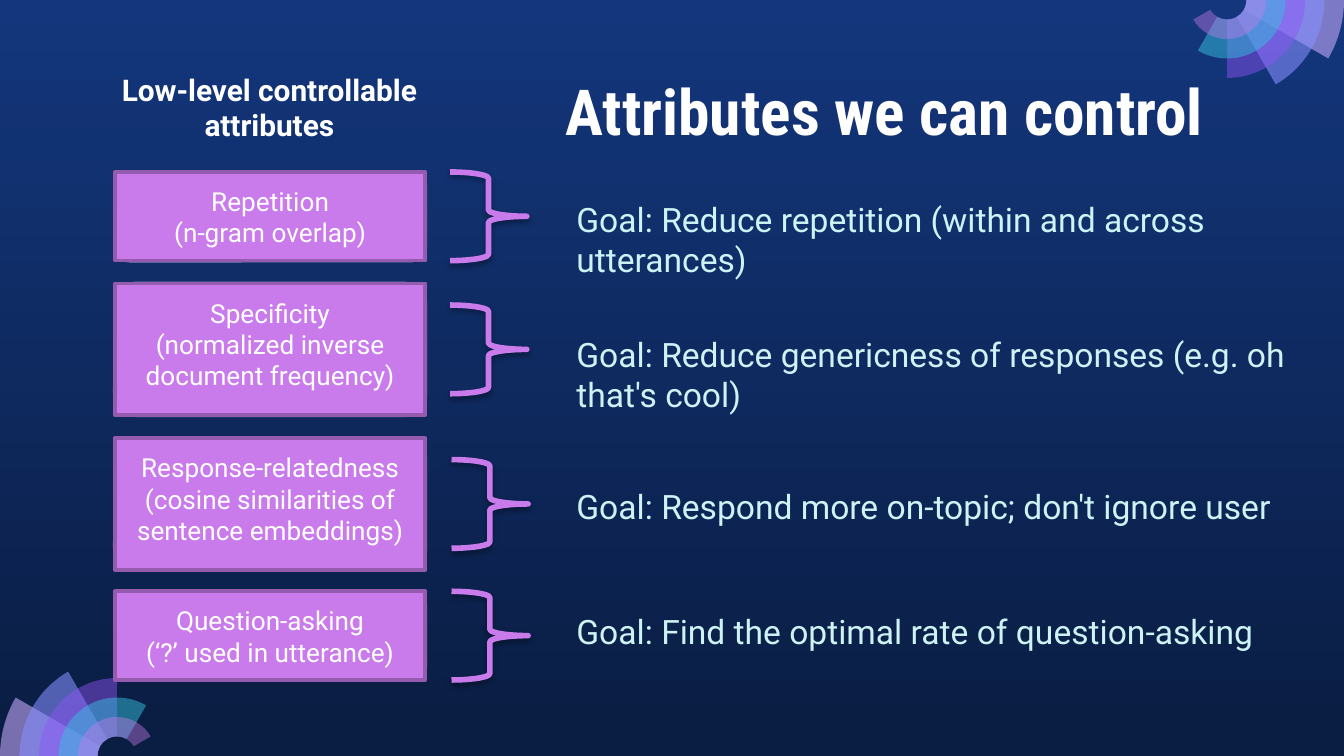
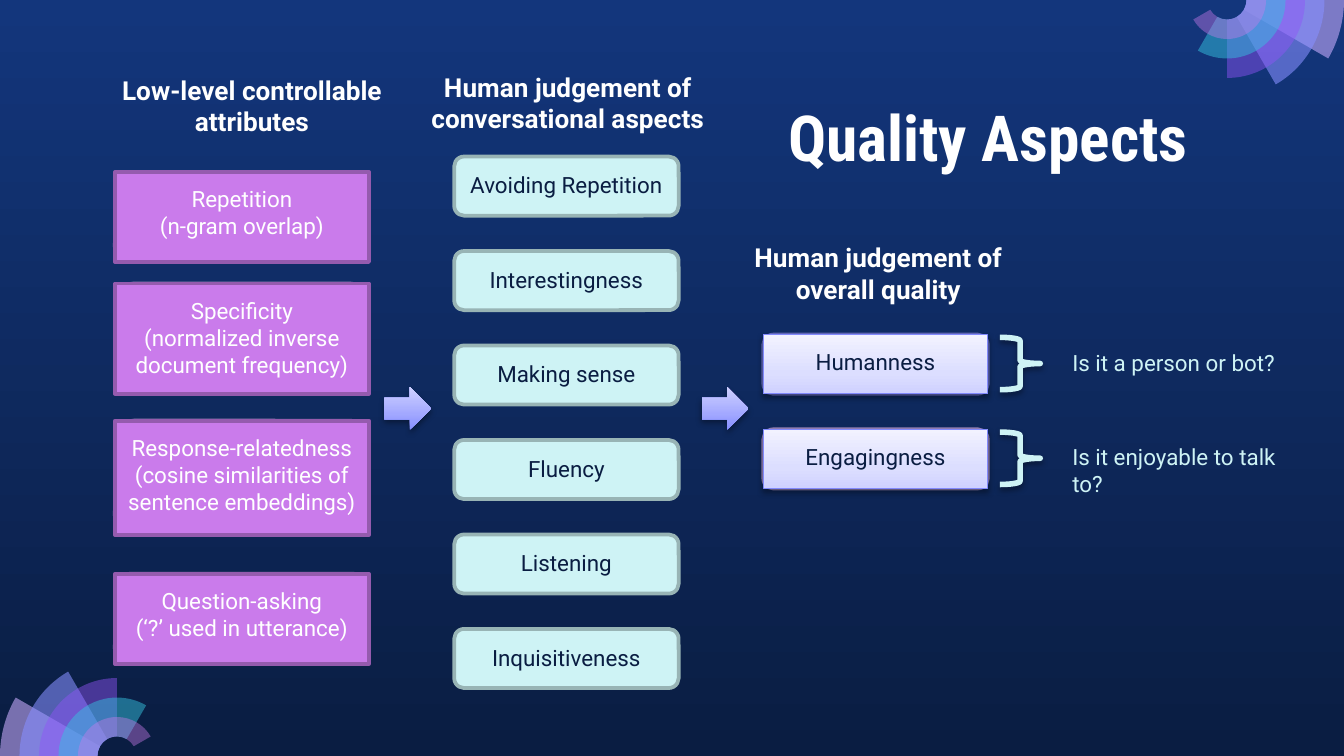
from copy import deepcopy
from math import cos, radians, sin, tan

from lxml.etree import Element, SubElement
from pptx import Presentation
from pptx.dml.color import RGBColor as Color
from pptx.enum.shapes import MSO_SHAPE as Shape
from pptx.enum.text import MSO_ANCHOR as Anchor, PP_ALIGN as Align
from pptx.oxml.ns import qn
from pptx.util import Inches, Pt

# Theme: colours, gradients (position, colour) and text formats
THEME = {
    "orchid": "CA7BEB", "orchid_edge": "955BAE",
    "mauve": "C8AEF8", "mauve_edge": "9481B7",
    "indigo": "878FFF", "indigo_edge": "646ABD",
    "ice": "CEF3F5", "ice_edge": "98B4B5", "lilac_edge": "8189FC",
    "night": [(0, "13367C"), (1, "0A1D42")],
    "arrow": [(0, "878FFF"), (1, "CFD1FF")],
    "lilac": [(0, "CFD1FF"), (0.35, "DCDEFF"), (1, "F2F2FF")],
    "fan": [("CA7BEB", 42), ("35C2DF", 49), ("9154F8", 46), ("878FFF", 58), ("C8ACFD", 58)],
    "title": ("FFFFFF", {"name": "Roboto Condensed", "size": Pt(34), "bold": True}),
    "heading": ("FFFFFF", {"name": "Roboto", "size": Pt(16), "bold": True}),
    "small_heading": ("FFFFFF", {"name": "Roboto", "size": Pt(14), "bold": True}),
    "goal": ("CEF3F5", {"name": "Roboto", "size": Pt(18)}),
    "question": ("CEF3F5", {"name": "Roboto", "size": Pt(12)}),
    "attribute": ("FFFFFF", {"name": "Roboto", "size": Pt(14)}),
    "small_attribute": ("FFFFFF", {"name": "Roboto", "size": Pt(12)}),
    "aspect": ("0A1D42", {"name": "Roboto", "size": Pt(12)}),
}


def place(page, kind, at, fill=None, line=None, width=2, shadow=False):
    """Add a preset shape; fill is a colour, a list of gradient stops or None."""
    shape = page.shapes.add_shape(kind, *map(Inches, at))
    if isinstance(fill, list):
        shape.fill.gradient()
        shape.fill.gradient_angle = 90
        stops = shape.element.find(".//" + qn("a:gsLst"))
        while len(stops) < len(fill):
            stops.append(deepcopy(stops[0]))
        for stop, (position, color) in zip(shape.fill.gradient_stops, fill):
            stop.position = position
            stop.color.rgb = Color.from_string(color)
    elif fill:
        shape.fill.solid()
        shape.fill.fore_color.rgb = Color.from_string(fill)
    else:
        shape.fill.background()
    if line:
        shape.line.color.rgb = Color.from_string(line)
        shape.line.width = Pt(width)
    else:
        shape.line.fill.background()
    shape.shadow.inherit = False
    if shadow:
        effects = shape.element.spPr.find(qn("a:effectLst"))
        outer = SubElement(effects, qn("a:outerShdw"), blurRad=str(Pt(3.1)),
                           dist=str(Pt(1.8)), dir="5400000", rotWithShape="0")
        black = SubElement(outer, qn("a:srgbClr"), val="000000")
        SubElement(black, qn("a:alpha"), val="35000")
    return shape


def write(box, lines, style, align=Align.CENTER, anchor=Anchor.TOP, side=0.1, top=0.1):
    """Fill a box with paragraphs; a line may be a (text, space before) pair."""
    color, font = THEME[style]
    frame = box.text_frame
    layout = {"word_wrap": True, "vertical_anchor": anchor, "margin_top": Inches(top),
              "margin_bottom": Inches(0.1), "margin_left": Inches(side),
              "margin_right": Inches(side)}
    for name, value in layout.items():
        setattr(frame, name, value)
    for index, line in enumerate(lines):
        text, before = line if isinstance(line, tuple) else (line, 0)
        para = frame.add_paragraph() if index else frame.paragraphs[0]
        para.alignment = align
        para.space_before = Pt(before)
        span = para.add_run()
        span.text = text
        span.font.color.rgb = Color.from_string(color)
        for name, value in font.items():
            setattr(span.font, name, value)


deck = Presentation()
deck.slide_width, deck.slide_height = Inches(10), Inches(5.625)
control_page, quality_page = [deck.slides.add_slide(deck.slide_layouts[6]) for _ in range(2)]

# Shared background on the master
master = deck.slide_master
night = master.background.fill
night.gradient()
night.gradient_angle = 270
for stop, (position, color) in zip(night.gradient_stops, THEME["night"]):
    stop.position = position
    stop.color.rgb = Color.from_string(color)

# Shared corner fans on the master: ring sectors, wider rings sweep 30 degrees less
RING = 0.145
for center_x, center_y, turn in [(0.87, 5.625, 0), (9.13, 0, 180)]:
    fan = control_page.shapes.add_group_shape()
    for ring, (color, alpha) in reversed(list(enumerate(THEME["fan"], 2))):
        end = 180 - 30 * (7 - ring)
        sweep = [end, 90, 180] if end < 90 else [end, 180]
        nodes = [(RING * ring, angle + turn) for angle in sweep]
        nodes += [(RING, angle + turn) for angle in reversed(sweep)]
        nodes.append(nodes[0])
        points = [(Inches(center_x + radius * cos(radians(angle))),
                   Inches(center_y - radius * sin(radians(angle)))) for radius, angle in nodes]
        builder = fan.shapes.build_freeform(*points[0])
        builder.add_line_segments(points[1:], close=True)
        petal = builder.convert_to_shape()

        # Turn the segments that stay on one radius into curves
        segments = petal.element.findall(".//" + qn("a:lnTo"))
        for index, segment in enumerate(segments):
            (radius, start), (next_radius, stop) = nodes[index:index + 2]
            if radius != next_radius:
                continue
            reach = Inches(radius) * 4 / 3 * tan(radians(stop - start) / 4)
            curve = Element(qn("a:cubicBezTo"))
            for (x, y), angle, pull in [(points[index], start, reach),
                                        (points[index + 1], stop, -reach),
                                        (points[index + 1], stop, 0)]:
                SubElement(curve, qn("a:pt"),
                           x=str(round(x - pull * sin(radians(angle)) - petal.left)),
                           y=str(round(y - pull * cos(radians(angle)) - petal.top)))
            segment.getparent().replace(segment, curve)

        petal.fill.solid()
        petal.fill.fore_color.rgb = Color.from_string(color)
        tint = petal.element.spPr.find(".//" + qn("a:srgbClr"))
        SubElement(tint, qn("a:alpha"), val=str(alpha * 1000))
        petal.line.fill.background()
        petal.shadow.inherit = False
    master.shapes.element.append(fan.element)

# Titles
for page, at, title in [
    (control_page, (3.93, 0.43, 5.3, 0.77), "Attributes we can control"),
    (quality_page, (5.37, 0.63, 3.96, 0.77), "Quality Aspects"),
]:
    box = page.shapes.add_textbox(*map(Inches, at))
    write(box, [title], "title", anchor=Anchor.BOTTOM)

# Goals and questions
for page, at, lines, style, top in [
    (control_page, (4.19, 1.2, 5.48, 4.09), [
        "Goal: Reduce repetition (within and across utterances)",
        ("Goal: Reduce genericness of responses (e.g. oh that's cool)", 29),
        ("Goal: Respond more on-topic; don't ignore user", 38.5),
        ("Goal: Find the optimal rate of question-asking", 45),
    ], "goal", 0.28),
    (quality_page, (7.88, 2.37, 1.78, 1.47), [
        "Is it a person or bot?",
        ("Is it enjoyable to talk to?", 36),
    ], "question", 0.23),
]:
    box = page.shapes.add_textbox(*map(Inches, at))
    write(box, lines, style, align=Align.LEFT, top=top)

# Controllable attributes on both pages, each on a rounded backing card
attributes = [
    ("Repetition", "(n-gram overlap)"),
    ("Specificity", "(normalized inverse document frequency)"),
    ("Response-relatedness", "(cosine similarities of sentence embeddings)"),
    ("Question-asking", "(‘?’ used in utterance)"),
]
for page, width, style, rows in [
    (control_page, 2.31, "attribute", [(1.28, 0.66), (2.11, 0.98), (3.26, 0.98), (4.4, 0.66)]),
    (quality_page, 1.89, "small_attribute", [(1.28, 0.67), (2.11, 0.82), (3.13, 0.85), (4.27, 0.67)]),
]:
    for lines, (top, height) in zip(attributes, rows):
        at = (0.855, top, width, height)
        place(page, Shape.ROUNDED_RECTANGLE, at, THEME["mauve"], THEME["mauve_edge"])
        box = place(page, Shape.RECTANGLE, at, THEME["orchid"], THEME["orchid_edge"])
        write(box, lines, style, side=0.08)

# Braces from attributes to goals
for left, top in [(3.35, 1.28), (3.35, 2.27), (3.36, 3.42), (3.36, 4.4)]:
    place(control_page, Shape.RIGHT_BRACE, (left, top, 0.57, 0.66),
          line=THEME["orchid"], width=3, shadow=True)

# Column headings
for page, left, top, heading, style in [
    (control_page, 0.67, 0.43, "Low-level controllable attributes", "heading"),
    (quality_page, 0.54, 0.45, "Low-level controllable attributes", "small_heading"),
    (quality_page, 2.89, 0.43, "Human judgement of conversational aspects", "small_heading"),
    (quality_page, 5.2, 1.7, "Human judgement of overall quality", "small_heading"),
]:
    box = page.shapes.add_textbox(Inches(left), Inches(top), Inches(2.67), Inches(0.66))
    write(box, [heading], style)

# Conversational aspects
aspects = ["Avoiding Repetition", "Interestingness", "Making sense",
           "Fluency", "Listening", "Inquisitiveness"]
for row, aspect in enumerate(aspects):
    box = place(quality_page, Shape.ROUNDED_RECTANGLE, (3.38, 1.165 + 0.703 * row, 1.67, 0.44),
                THEME["ice"], THEME["ice_edge"])
    write(box, [aspect], "aspect", side=0.07, top=0.09)

# Overall quality on backing cards, with braces
for row, (quality, card) in enumerate([("Humanness", "indigo"), ("Engagingness", "mauve")]):
    top = 2.49 + 0.705 * row
    at = (5.68, top, 1.67, 0.44)
    place(quality_page, Shape.ROUNDED_RECTANGLE, at, THEME[card], THEME[card + "_edge"])
    box = place(quality_page, Shape.RECTANGLE, at,
                THEME["lilac"], THEME["lilac_edge"], 0.75, shadow=True)
    write(box, [quality], "aspect")
    place(quality_page, Shape.RIGHT_BRACE, (7.44, top + 0.02, 0.3, 0.39),
          line=THEME["ice"], width=3, shadow=True)

# Arrows between the columns
for left in (2.86, 5.22):
    place(quality_page, Shape.RIGHT_ARROW, (left, 2.88, 0.35, 0.32), THEME["arrow"], shadow=True)

deck.save("out.pptx")
